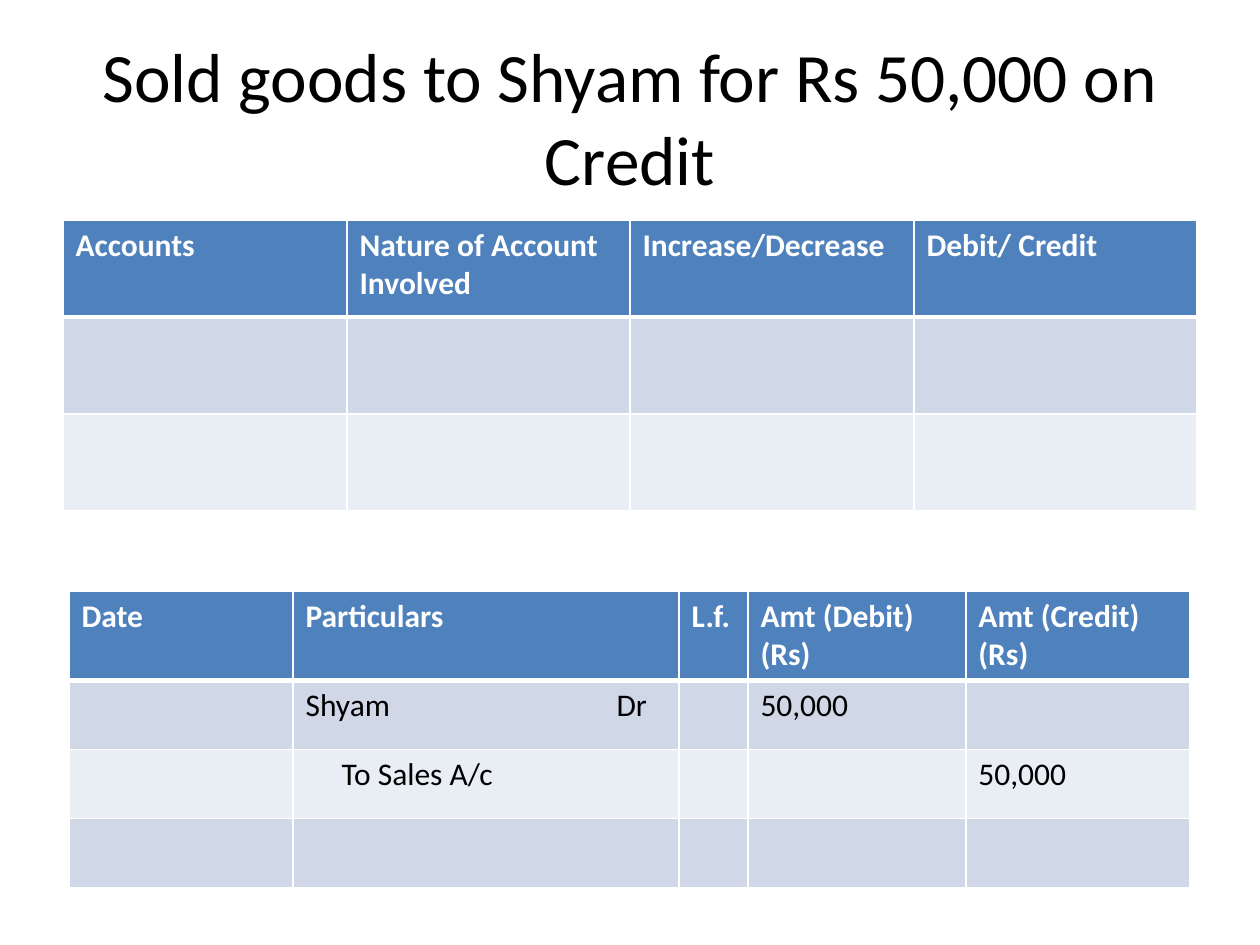
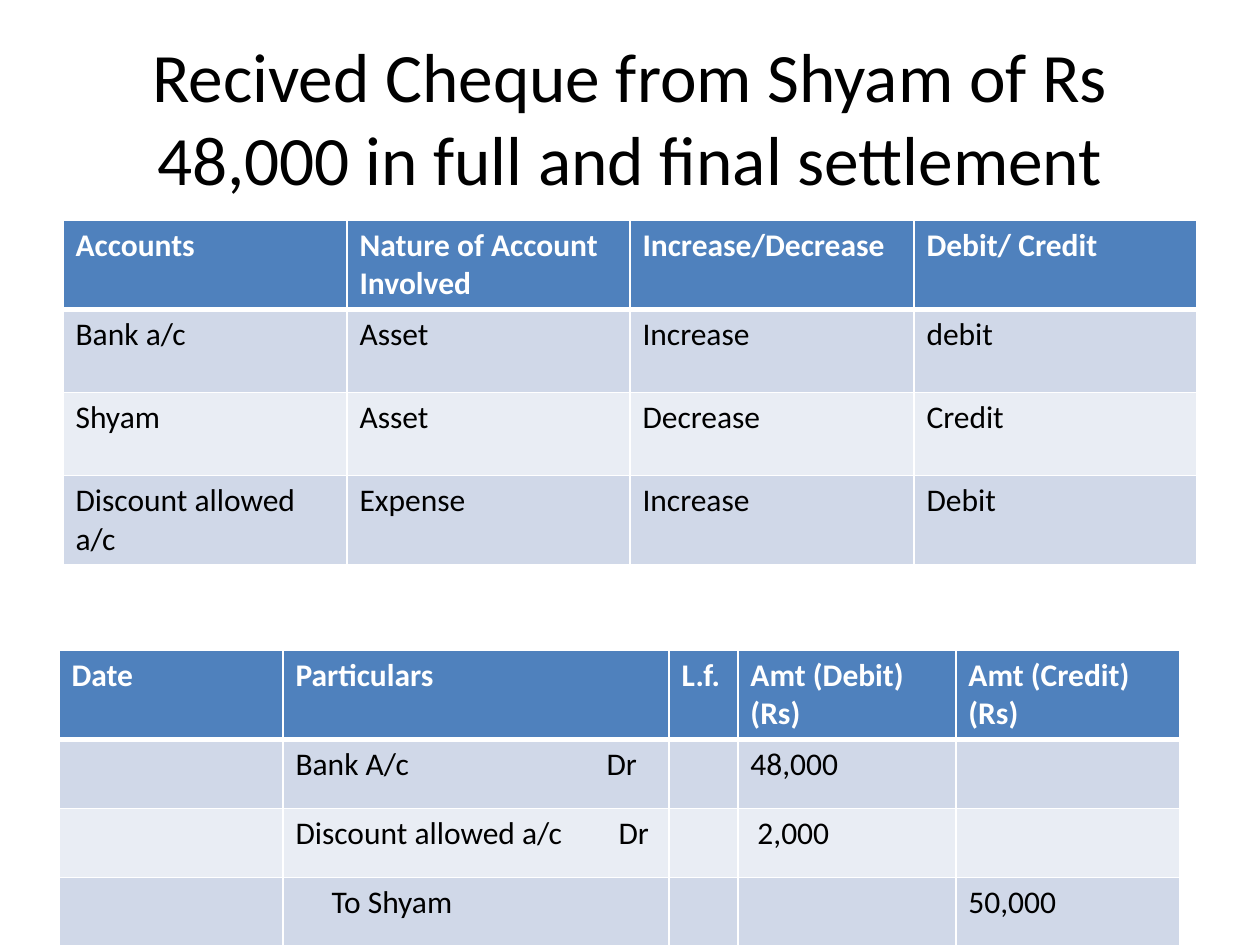
from itertools import accumulate
from lxml.etree import SubElement
from pptx import Presentation
from pptx.dml.color import RGBColor
from pptx.enum.text import MSO_ANCHOR, MSO_AUTO_SIZE, PP_ALIGN
from pptx.oxml.ns import qn
from pptx.util import Emu, Pt

FONT = "Calibri"
COLORS = {
    "head": "4F81BD",
    "odd": "D0D8E8",
    "even": "E9EDF4",
    "light": "FFFFFF",
    "dark": "000000",
}

ACCOUNTS = ["Accounts", "Nature of Account Involved", "Increase/Decrease", "Debit/ Credit"]
JOURNAL = ["Date", "Particulars", "L.f.", "Amt (Debit) (Rs)", "Amt (Credit) (Rs)"]
ACCOUNT_COLS = [284, 283, 284, 283]
JOURNAL_COLS = [224, 386, 69, 218, 224]

# A cell is a text, or a tuple of text, left indent and tab stop in px.
SLIDES = [
    {
        "title": "Sold goods to Shyam for Rs 50,000 on Credit",
        "tables": [
            {
                "at": (63, 220), "cols": ACCOUNT_COLS, "heights": [97, 97, 97],
                "rows": [ACCOUNTS, [""] * 4, [""] * 4],
            },
            {
                "at": (69, 591), "cols": JOURNAL_COLS, "heights": [88, 69, 69, 69],
                "rows": [
                    JOURNAL,
                    ["", ("Shyam\tDr", 0, 311), "", "50,000", ""],
                    ["", ("To Sales A/c", 36, 0), "", "", "50,000"],
                    [""] * 5,
                ],
            },
        ],
    },
    {
        "title": "Recived Cheque from Shyam of Rs 48,000 in full and final settlement",
        "tables": [
            {
                "at": (63, 220), "cols": ACCOUNT_COLS, "heights": [88, 83, 83, 88],
                "rows": [
                    ACCOUNTS,
                    ["Bank a/c", "Asset", "Increase", "debit"],
                    ["Shyam", "Asset", "Decrease", "Credit"],
                    ["Discount allowed a/c", "Expense", "Increase", "Debit"],
                ],
            },
            {
                "at": (59, 650), "cols": JOURNAL_COLS, "heights": [88, 69, 69, 69],
                "rows": [
                    JOURNAL,
                    ["", ("Bank A/c\tDr", 0, 311), "", "48,000", ""],
                    ["", ("Discount allowed a/c\tDr", 0, 323), "", ("2,000", 7, 0), ""],
                    ["", ("To Shyam", 36, 0), "", "", "50,000"],
                ],
            },
        ],
    },
]


def px(count):
    return Emu(round(count * 914400 / 126))


def style(font, size, color, bold=False):
    font.name, font.size, font.bold = FONT, Pt(size), bold
    font.color.rgb = RGBColor.from_string(COLORS[color])


def add_title(slide, text):
    title = slide.shapes.title
    title.left, title.top, title.width, title.height = map(px, (63, 38, 1134, 157))
    frame = title.text_frame
    frame.text = text
    frame.auto_size = MSO_AUTO_SIZE.NONE
    frame.vertical_anchor = MSO_ANCHOR.MIDDLE
    par = frame.paragraphs[0]
    par.alignment = PP_ALIGN.CENTER
    style(par.runs[0].font, 39.6, "dark")


def add_borders(cell, row):
    """Draw white edges, with a thick rule under the header row."""
    widths = {"lnL": 1, "lnR": 1, "lnT": 3 if row == 1 else 1, "lnB": 3 if row == 0 else 1}
    props = cell._tc.get_or_add_tcPr()
    for tag, width in widths.items():
        line = SubElement(props, qn(f"a:{tag}"), w=str(Pt(width)))
        fill = SubElement(line, qn("a:solidFill"))
        SubElement(fill, qn("a:srgbClr"), val=COLORS["light"])


def fill_cell(cell, entry, row):
    text, indent, tab = entry if isinstance(entry, tuple) else (entry, 0, 0)
    add_borders(cell, row)
    shade = "head" if row == 0 else "odd" if row % 2 else "even"
    cell.fill.solid()
    cell.fill.fore_color.rgb = RGBColor.from_string(COLORS[shade])
    cell.text_frame.text = text
    par = cell.text_frame.paragraphs[0]
    props = par._p.get_or_add_pPr()
    if indent:
        props.set("marL", str(px(indent)))
    if tab:
        stops = SubElement(props, qn("a:tabLst"))
        SubElement(stops, qn("a:tab"), pos=str(px(tab)), algn="l")
    for run in par.runs:
        style(run.font, 18, "dark" if row else "light", bold=row == 0)


def add_grid(slide, at, cols, heights, rows):
    size = sum(cols), sum(heights)
    frame = slide.shapes.add_table(len(rows), len(cols), *map(px, at + size))
    table = frame.table
    for col, width in zip(table.columns, cols):
        col.width = px(width)
    for row, height in zip(table.rows, heights):
        row.height = px(height)
    for r, entries in enumerate(rows):
        for c, entry in enumerate(entries):
            fill_cell(table.cell(r, c), entry, r)


def main():
    deck = Presentation()
    deck.slide_width, deck.slide_height = px(1260), px(945)
    for page in SLIDES:
        slide = deck.slides.add_slide(deck.slide_layouts[5])
        add_title(slide, page["title"])
        for grid in page["tables"]:
            add_grid(slide, **grid)
    deck.save("out.pptx")


if __name__ == "__main__":
    main()
